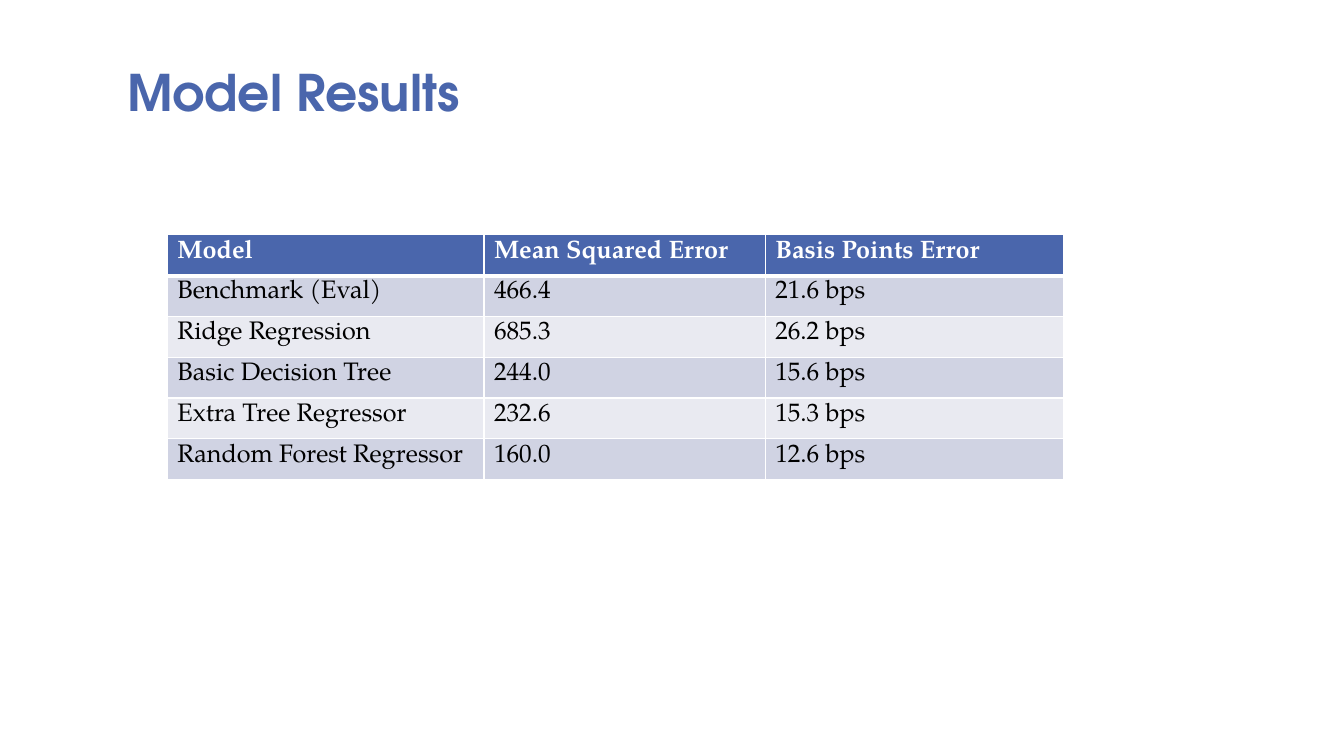
from lxml import etree
from pptx import Presentation
from pptx.dml.color import RGBColor
from pptx.enum.text import MSO_ANCHOR, MSO_AUTO_SIZE, PP_ALIGN
from pptx.oxml.ns import qn
from pptx.util import Inches, Pt

BOTTOM = MSO_ANCHOR.BOTTOM
NO_AUTOFIT = MSO_AUTO_SIZE.NONE
LEFT = PP_ALIGN.LEFT
TITLE_ONLY = 5

COLORS = {
    "accent": "4A66AC",
    "band_dark": "D0D3E3",
    "band_light": "E9EAF1",
    "text": "000000",
    "white": "FFFFFF",
}
TITLE_FONT = "TeX Gyre Adventor"
BODY_FONT = "TeX Gyre Pagella"

RESULTS = [
    ("Model", "Mean Squared Error", "Basis Points Error"),
    ("Benchmark (Eval)", "466.4", "21.6 bps"),
    ("Ridge Regression", "685.3", "26.2 bps"),
    ("Basic Decision Tree", "244.0", "15.6 bps"),
    ("Extra Tree Regressor", "232.6", "15.3 bps"),
    ("Random Forest Regressor", "160.0", "12.6 bps"),
]
COLUMN_WIDTHS = (3.14, 2.79, 2.96)


def color(name):
    return RGBColor.from_string(COLORS[name])


def format_paragraph(para, font_name, size, color_name, bold):
    para.alignment = LEFT
    para.font.name = font_name
    para.font.size = Pt(size)
    para.font.bold = bold
    para.font.color.rgb = color(color_name)


def add_title(page, left, top, width, height):
    title = page.shapes.title
    title.left, title.top = Inches(left), Inches(top)
    title.width, title.height = Inches(width), Inches(height)
    frame = title.text_frame
    frame.text = "Model Results"
    frame.auto_size = NO_AUTOFIT
    frame.vertical_anchor = BOTTOM
    para = frame.paragraphs[0]
    para.line_spacing = 0.8
    format_paragraph(para, TITLE_FONT, 36, "accent", True)


def set_borders(cell, top, bottom):
    """Draw white cell borders; widths are in points."""
    properties = cell._tc.get_or_add_tcPr()
    for tag, points in (("lnL", 1), ("lnR", 1), ("lnT", top), ("lnB", bottom)):
        line = etree.SubElement(properties, qn(f"a:{tag}"), w=str(Pt(points)))
        fill = etree.SubElement(line, qn("a:solidFill"))
        etree.SubElement(fill, qn("a:srgbClr"), val=COLORS["white"])


def add_results_table(page, left, top, width, height):
    table = page.shapes.add_table(
        len(RESULTS), len(COLUMN_WIDTHS),
        Inches(left), Inches(top), Inches(width), Inches(height),
    ).table
    for column, column_width in zip(table.columns, COLUMN_WIDTHS):
        column.width = Inches(column_width)

    for row, values in enumerate(RESULTS):
        header = row == 0
        # Header first, then alternating bands
        if header:
            fill_name = "accent"
        else:
            fill_name = "band_dark" if row % 2 else "band_light"
        for col, value in enumerate(values):
            cell = table.cell(row, col)
            # The rule below the header is thicker
            set_borders(cell, top=3 if row == 1 else 1, bottom=3 if header else 1)
            cell.fill.solid()
            cell.fill.fore_color.rgb = color(fill_name)
            cell.text = value
            format_paragraph(cell.text_frame.paragraphs[0], BODY_FONT, 18,
                             "white" if header else "text", header)


def main():
    deck = Presentation()
    deck.slide_width, deck.slide_height = Inches(13.33), Inches(7.5)
    page = deck.slides.add_slide(deck.slide_layouts[TITLE_ONLY])
    page.background.fill.solid()
    page.background.fill.fore_color.rgb = color("white")
    add_title(page, 1.16, 0.08, 9.5, 1.17)
    add_results_table(page, 1.66, 2.33, sum(COLUMN_WIDTHS), 2.43)
    deck.save("out.pptx")


if __name__ == "__main__":
    main()
